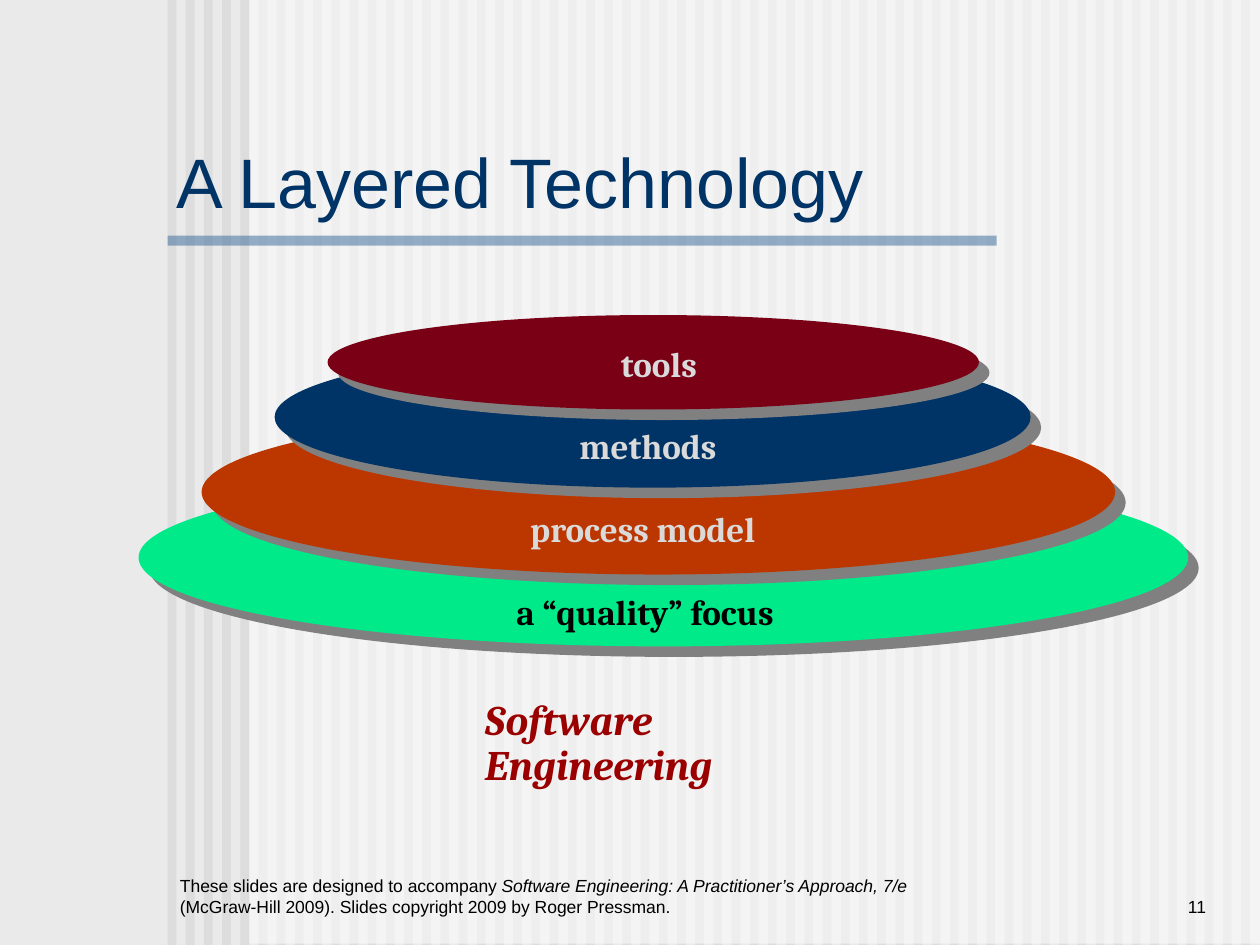
from dataclasses import dataclass

from lxml.etree import SubElement
from pptx import Presentation
from pptx.dml.color import RGBColor
from pptx.enum.shapes import MSO_SHAPE
from pptx.enum.text import MSO_ANCHOR, PP_ALIGN
from pptx.oxml.ns import qn
from pptx.util import Inches, Pt

STRIPE_COUNT = 60
STRIPE_PITCH = (9.85 - 1.33) / (STRIPE_COUNT - 1)


@dataclass
class Box:
    left: float
    top: float
    width: float
    height: float

    def lengths(self) -> list:
        return [Inches(value) for value in (self.left, self.top, self.width, self.height)]


@dataclass
class Layer:
    name: str
    ellipse: Box
    label: Box
    fill: str
    text_color: str = "DADADA"


LAYERS = [
    Layer("a “quality” focus", Box(1.1, 3.72, 8.33, 1.41), Box(4, 4.64, 2.34, 0.43), "01EA89", "000000"),
    Layer("process model", Box(1.6, 3.25, 7.25, 1.31), Box(4.11, 3.98, 2.01, 0.43), "BC3700"),
    Layer("methods", Box(2.18, 2.75, 6, 1.12), Box(4.5, 3.32, 1.29, 0.43), "003366"),
    Layer("tools", Box(2.6, 2.5, 5.17, 0.75), Box(4.83, 2.67, 0.82, 0.43), "790015"),
]
FOOTER_FORMAT = {"name": "Arial", "size": Pt(10)}
TITLE_FORMAT = {"name": "Arial", "size": Pt(40), "bold": False}
LABEL_FORMAT = {"name": "Cambria", "size": Pt(20), "bold": True}
CAPTION_FORMAT = {"name": "Cambria", "size": Pt(24), "bold": True, "italic": True}


def color(value: str) -> RGBColor:
    return RGBColor.from_string(value)


def set_attributes(target, values: dict) -> None:
    for name, value in values.items():
        setattr(target, name, value)


def add_run(paragraph, text: str, text_color: str, format_values: dict) -> None:
    run = paragraph.add_run()
    run.text = text
    set_attributes(run.font, format_values)
    run.font.color.rgb = color(text_color)


def add_filled_shape(slide, kind, box: Box, fill: str, opacity: int = 100):
    shape = slide.shapes.add_shape(kind, *box.lengths())
    shape.shadow.inherit = False
    shape.fill.solid()
    shape.fill.fore_color.rgb = color(fill)
    shape.line.fill.background()
    if opacity < 100:
        fill_color = shape.element.spPr.find(qn("a:solidFill"))[0]
        SubElement(fill_color, qn("a:alpha"), val=str(opacity * 1000))
    return shape


def add_hard_shadow(shape) -> None:
    effects = shape.element.spPr.find(qn("a:effectLst"))
    shadow = SubElement(effects, qn("a:outerShdw"), dist=str(Pt(8.5)), dir="2700000",
                        algn="ctr", rotWithShape="0")
    SubElement(shadow, qn("a:srgbClr"), val="808080")


def bring_to_front(shape) -> None:
    shape.element.getparent().append(shape.element)


def add_text(slide, box: Box, runs: list, text_color: str, format_values: dict,
             wrap: bool = True, anchor=MSO_ANCHOR.TOP):
    frame = slide.shapes.add_textbox(*box.lengths()).text_frame
    set_attributes(frame, {"word_wrap": wrap, "vertical_anchor": anchor})
    paragraph = frame.paragraphs[0]
    for text, extra in runs:
        add_run(paragraph, text, text_color, format_values | extra)
    return paragraph


def add_backdrop(slide) -> None:
    slide.background.fill.solid()
    slide.background.fill.fore_color.rgb = color("EAEAEA")
    for index in range(STRIPE_COUNT):
        stripe = Box(1.33 + index * STRIPE_PITCH, 0, 0.07, 7.5)
        add_filled_shape(slide, MSO_SHAPE.RECTANGLE, stripe, "DDDDDD")
    add_filled_shape(slide, MSO_SHAPE.RECTANGLE, Box(1.98, -0.01, 8.02, 7.5), "FFFFFF", 50)
    add_filled_shape(slide, MSO_SHAPE.RECTANGLE, Box(1.33, 1.87, 6.58, 0.08), "336699", 50)


def add_title(slide) -> None:
    title = slide.shapes.title
    bring_to_front(title)
    title.left, title.top, title.width, title.height = Box(1.33, 1.08, 5.93, 0.72).lengths()
    set_attributes(title.text_frame, {
        "margin_left": Inches(0.07), "margin_right": Inches(0.07),
        "margin_top": Inches(0.03), "margin_bottom": Inches(0.03),
        "vertical_anchor": MSO_ANCHOR.BOTTOM, "word_wrap": True,
    })
    paragraph = title.text_frame.paragraphs[0]
    paragraph.alignment = PP_ALIGN.LEFT
    add_run(paragraph, "A Layered Technology", "003366", TITLE_FORMAT)


def add_footer(slide) -> None:
    credit = [
        ("These slides are designed to accompany ", {}),
        ("Software Engineering: A Practitioner’s Approach, 7/e ", {"italic": True}),
        ("(McGraw-Hill 2009). Slides copyright 2009 by Roger Pressman.", {}),
    ]
    add_text(slide, Box(1.33, 6.83, 6, 0.5), credit, "000000", FOOTER_FORMAT,
             anchor=MSO_ANCHOR.BOTTOM)
    number = add_text(slide, Box(8.25, 6.83, 1.42, 0.5), [("11", {})], "000000",
                      FOOTER_FORMAT, anchor=MSO_ANCHOR.BOTTOM)
    number.alignment = PP_ALIGN.RIGHT


def add_layers(slide) -> None:
    for layer in LAYERS:
        add_hard_shadow(add_filled_shape(slide, MSO_SHAPE.OVAL, layer.ellipse, layer.fill))
    for layer in LAYERS:
        add_text(slide, layer.label, [(layer.name, {})], layer.text_color, LABEL_FORMAT, wrap=False)


def main() -> None:
    presentation = Presentation()
    presentation.slide_width = Inches(10)
    presentation.slide_height = Inches(7.5)
    slide = presentation.slides.add_slide(presentation.slide_layouts[5])
    add_backdrop(slide)
    add_footer(slide)
    add_title(slide)
    caption = add_text(slide, Box(3.75, 5.5, 3, 0.46), [("Software Engineering", {})],
                       "9A0000", CAPTION_FORMAT)
    caption.line_spacing = 0.9
    add_layers(slide)
    presentation.save("out.pptx")


if __name__ == "__main__":
    main()
